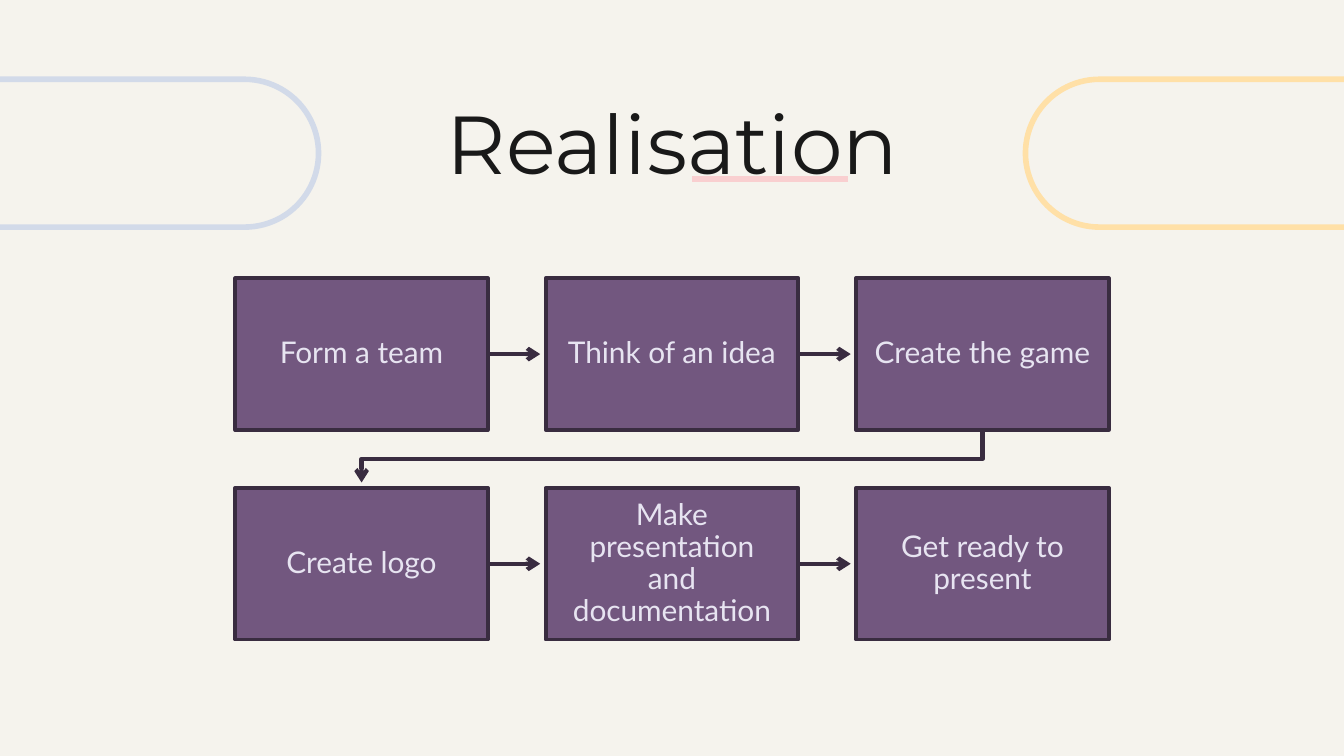
from lxml import etree
from pptx import Presentation, util as u
from pptx.dml.color import RGBColor
from pptx.enum import shapes, text
from pptx.oxml.ns import qn

TITLE = "Realisation"
STEPS = [
    ["Form a team", "Think of an idea", "Create the game"],
    ["Create logo", "Make presentation and documentation", "Get ready to present"],
]
COLORS = {
    "background": "F5F3ED", "title": "191919", "underline": "F9CFD0",
    "left pill": "D2DAE9", "right pill": "FFE0A7",
    "box": "72577F", "outline": "392C40", "box text": "E7E4F1",
}
WIDTH = 10
HEIGHT = WIDTH * 9 / 16
BOX_WIDTH, BOX_HEIGHT = 1.88, 1.13
COLUMN_STEP, ROW_STEP = 2.31, 1.56
GRID_LEFT, GRID_TOP = 1.75, 2.07
ARROW_GAP = 0.04  # between an arrowhead and the next box
PILL_WIDTH, PILL_HEIGHT, PILL_TOP, PILL_OVERHANG = 3.18, 1.1, 0.59, 0.81


def color(name):
    return RGBColor.from_string(COLORS[name])


def style_line(shape, name, width, arrow=False):
    shape.line.color.rgb = color(name)
    shape.line.width = u.Pt(width)
    if arrow:
        line = shape._element.spPr.find(qn("a:ln"))
        etree.SubElement(line, qn("a:tailEnd"), type="arrow")


def add_preset(slide, preset, left, top, width, height):
    shape = slide.shapes.add_shape(preset, *map(u.Inches, (left, top, width, height)))
    shape.shadow.inherit = False
    return shape


def add_pill(slide, left, name):
    pill = add_preset(slide, shapes.MSO_SHAPE.ROUNDED_RECTANGLE,
                      left, PILL_TOP, PILL_WIDTH, PILL_HEIGHT)
    pill.adjustments[0] = 0.5
    pill.fill.background()
    style_line(pill, name, 3)


def add_line(slide, start, end, name, width, arrow=False):
    line = slide.shapes.add_connector(
        shapes.MSO_CONNECTOR.STRAIGHT, *map(u.Inches, (*start, *end)))
    style_line(line, name, width, arrow)
    etree.SubElement(line._element.spPr, qn("a:effectLst"))


def write(shape, words, font, size, name, inset):
    """Put one centred paragraph in a shape and return the paragraph."""
    frame = shape.text_frame
    frame.word_wrap = True
    frame.margin_left = frame.margin_right = u.Inches(inset)
    frame.margin_top = frame.margin_bottom = u.Inches(inset)
    frame.text = words
    paragraph = frame.paragraphs[0]
    paragraph.alignment = text.PP_ALIGN.CENTER
    run = paragraph.runs[0]
    run.font.name, run.font.size = font, u.Pt(size)
    run.font.color.rgb = color(name)
    return paragraph


def add_step(slide, words, left, top):
    box = add_preset(slide, shapes.MSO_SHAPE.RECTANGLE, left, top, BOX_WIDTH, BOX_HEIGHT)
    box.fill.solid()
    box.fill.fore_color.rgb = color("box")
    style_line(box, "outline", 2)
    box.text_frame.vertical_anchor = text.MSO_ANCHOR.MIDDLE
    write(box, words, "Lato", 16, "box text", 0.12).line_spacing = 0.9


def add_row_turn(slide, row):
    """Lead from the last box of a row to the first box of the next."""
    first = GRID_LEFT + BOX_WIDTH / 2
    last = first + (len(STEPS[row]) - 1) * COLUMN_STEP
    bottom = GRID_TOP + row * ROW_STEP + BOX_HEIGHT
    next_top = GRID_TOP + (row + 1) * ROW_STEP
    middle = (bottom + next_top) / 2
    points = [(last, bottom), (last, middle), (first, middle), (first, next_top - ARROW_GAP)]
    start, *rest = [(u.Inches(x), u.Inches(y)) for x, y in points]
    builder = slide.shapes.build_freeform(*start)
    builder.add_line_segments(rest, close=False)
    turn = builder.convert_to_shape()
    turn.shadow.inherit = False
    turn.fill.background()
    style_line(turn, "outline", 2.25, arrow=True)


def main():
    presentation = Presentation()
    presentation.slide_width = u.Inches(WIDTH)
    presentation.slide_height = u.Inches(HEIGHT)
    slide = presentation.slides.add_slide(presentation.slide_layouts[6])
    slide.background.fill.solid()
    slide.background.fill.fore_color.rgb = color("background")

    add_pill(slide, -PILL_OVERHANG, "left pill")
    add_pill(slide, WIDTH + PILL_OVERHANG - PILL_WIDTH, "right pill")
    title = slide.shapes.add_textbox(*map(u.Inches, (0.79, 0.59, 8.43, 0.63)))
    write(title, TITLE, "Montserrat", 44, "title", 0.1)
    add_line(slide, (5.15, 1.33), (6.31, 1.33), "underline", 3)

    for row, steps in enumerate(STEPS):
        top = GRID_TOP + row * ROW_STEP
        for column, words in enumerate(steps):
            left = GRID_LEFT + column * COLUMN_STEP
            if column < len(steps) - 1:
                middle = top + BOX_HEIGHT / 2
                add_line(slide, (left + BOX_WIDTH, middle),
                         (left + COLUMN_STEP - ARROW_GAP, middle), "outline", 2.25, arrow=True)
            elif row < len(STEPS) - 1:
                add_row_turn(slide, row)
            add_step(slide, words, left, top)

    presentation.save("out.pptx")


if __name__ == "__main__":
    main()
